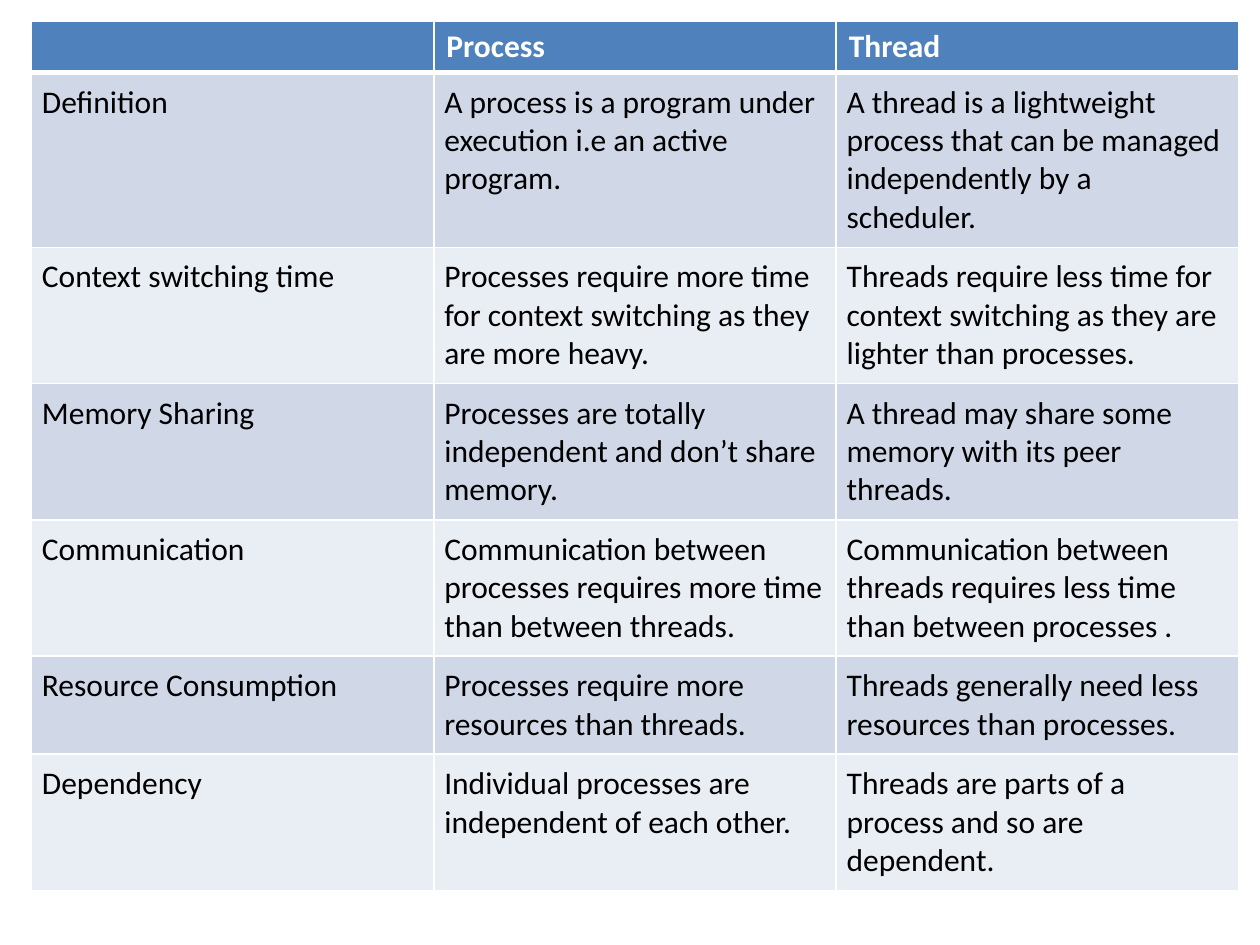
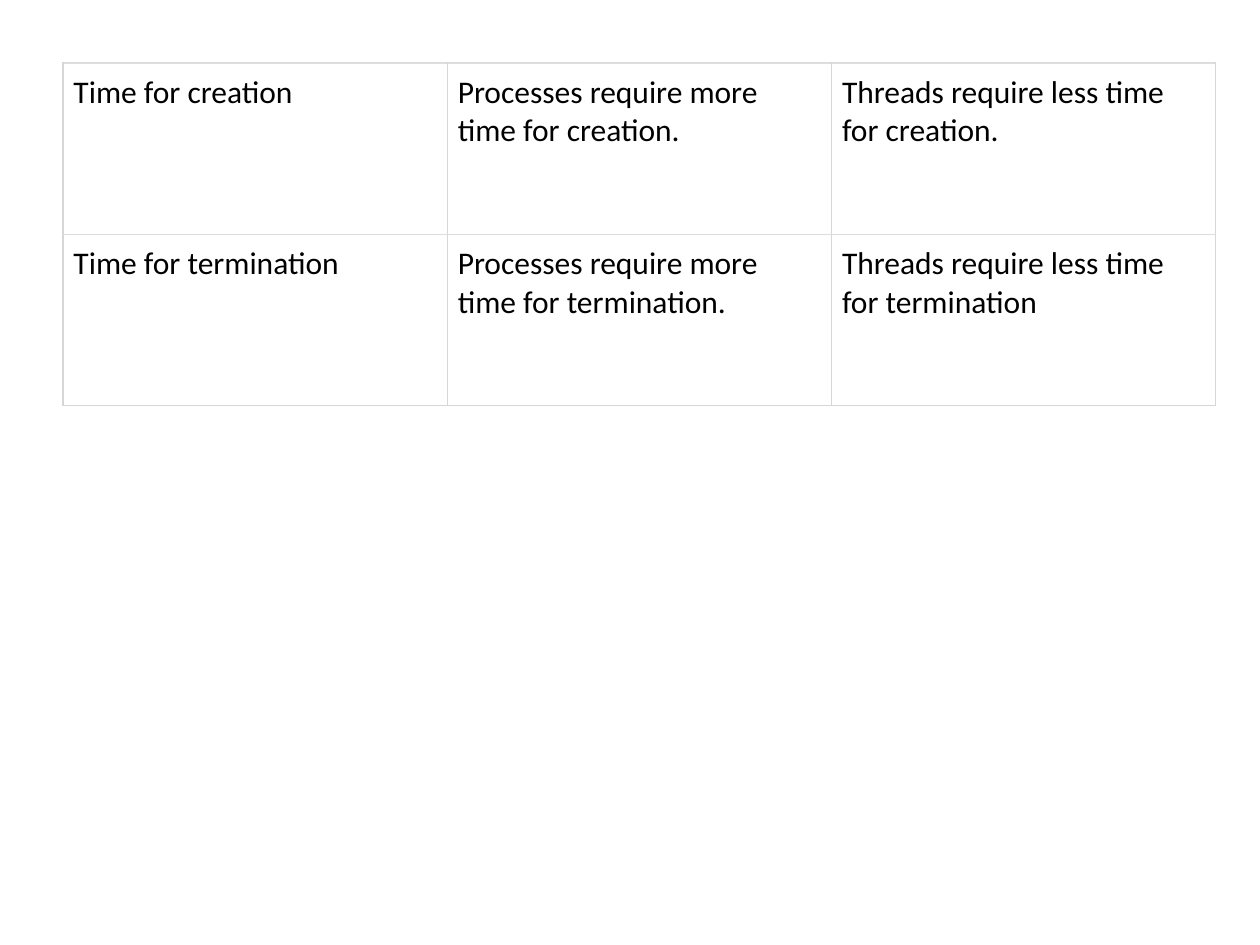
from lxml import etree
from pptx import Presentation
from pptx.dml.color import RGBColor
from pptx.oxml.ns import qn
from pptx.util import Inches, Pt

WHITE = RGBColor(0xFF, 0xFF, 0xFF)
BLACK = RGBColor(0, 0, 0)
HEADER_BLUE = RGBColor(0x4F, 0x81, 0xBD)
BANDS = (RGBColor(0xD0, 0xD8, 0xE8), RGBColor(0xE9, 0xED, 0xF4))
SIDE_GREY = RGBColor(0xD6, 0xD6, 0xD6)
TOP_GREY = RGBColor(0xDD, 0xDD, 0xDD)
FONT = "Calibri"
TEXT_SIZE = Pt(18)
CELL_MARGIN = Inches(1 / 12)

COMPARISON = [
    ("", "Process", "Thread"),
    ("Definition",
     "A process is a program under execution i.e an active program.",
     "A thread is a lightweight process that can be managed independently by a scheduler."),
    ("Context switching time",
     "Processes require more time for context switching as they are more heavy.",
     "Threads require less time for context switching as they are lighter than processes."),
    ("Memory Sharing",
     "Processes are totally independent and don\u2019t share memory.",
     "A thread may share some memory with its peer threads."),
    ("Communication",
     "Communication between processes requires more time than between threads.",
     "Communication between threads requires less time than between processes ."),
    ("Resource Consumption",
     "Processes require more resources than threads.",
     "Threads generally need less resources than processes."),
    ("Dependency",
     "Individual processes are independent of each other.",
     "Threads are parts of a process and so are dependent."),
]
TIMES = [
    ("Time for creation",
     "Processes require more time for creation.",
     "Threads require less time for creation."),
    ("Time for termination",
     "Processes require more time for termination.",
     "Threads require less time for termination"),
]


def set_borders(cell, left, top, right, bottom):
    tcPr = cell._tc.get_or_add_tcPr()
    for side, (color, width) in zip("LRTB", (left, right, top, bottom)):
        ln = etree.SubElement(tcPr, qn(f"a:ln{side}"), w=str(Pt(width)))
        fill = etree.SubElement(ln, qn("a:solidFill"))
        etree.SubElement(fill, qn("a:srgbClr"), val=str(color))


def write_cell(cell, text, color=BLACK, bold=False):
    cell.text_frame.text = text
    for r in cell.text_frame.paragraphs[0].runs:
        r.font.name = FONT
        r.font.size = TEXT_SIZE
        r.font.bold = bold
        r.font.color.rgb = color


def set_margins(cell):
    cell.margin_left = cell.margin_right = CELL_MARGIN
    cell.margin_top = cell.margin_bottom = CELL_MARGIN


def add_grid(slide, rows, left, top, width, height, row_height):
    frame = slide.shapes.add_table(len(rows), len(rows[0]), left, top, width, height)
    table = frame.table
    table.first_row = table.horz_banding = False
    for column in table.columns:
        column.width = width // len(rows[0])
    for row in table.rows:
        row.height = row_height
    frame.height = height
    return table


def add_comparison_table(slide, left, top, width, height):
    table = add_grid(slide, COMPARISON, left, top, width, height, Inches(0.4))
    thin, thick = (WHITE, 1), (WHITE, 3)
    for i, row in enumerate(COMPARISON):
        for j, text in enumerate(row):
            cell = table.cell(i, j)
            header = i == 0
            set_borders(cell, thin, thick if i == 1 else thin, thin,
                        thick if header else thin)
            cell.fill.solid()
            if header:
                cell.fill.fore_color.rgb = HEADER_BLUE
                write_cell(cell, text, WHITE, True)
            else:
                cell.fill.fore_color.rgb = BANDS[(i - 1) % 2]
                set_margins(cell)
                write_cell(cell, text)


def add_times_table(slide, left, top, width, height):
    table = add_grid(slide, TIMES, left, top, width, height, height // len(TIMES))
    side, edge = (SIDE_GREY, 0.75), (TOP_GREY, 0.75)
    for i, row in enumerate(TIMES):
        bottom = side if i == len(TIMES) - 1 else edge
        for j, text in enumerate(row):
            cell = table.cell(i, j)
            set_borders(cell, side, edge, side, bottom)
            cell.fill.background()
            set_margins(cell)
            write_cell(cell, text)


prs = Presentation()
prs.slide_width, prs.slide_height = Inches(10), Inches(7.5)
blank = prs.slide_layouts[6]
add_comparison_table(prs.slides.add_slide(blank), Inches(0.25), Inches(0.17),
                     Inches(9.58), Inches(6.81))
add_times_table(prs.slides.add_slide(blank), Inches(0.5), Inches(0.5),
                Inches(9.15), Inches(2.72))
prs.save("out.pptx")
